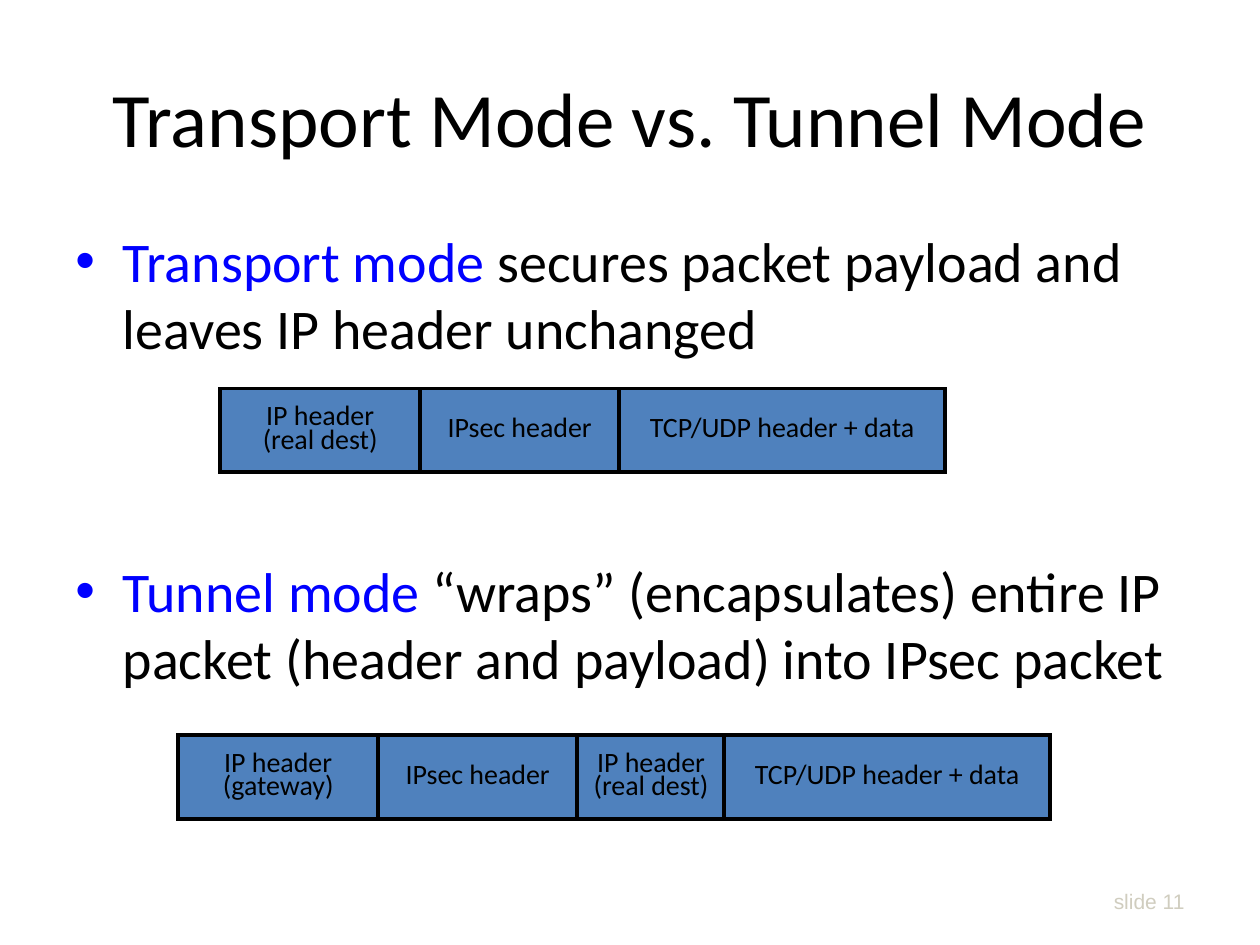
"""Build the slide that compares IPsec transport mode with tunnel mode."""
from dataclasses import dataclass

from lxml import etree
from pptx import Presentation
from pptx.dml.color import RGBColor
from pptx.enum.shapes import MSO_SHAPE
from pptx.enum.text import MSO_ANCHOR, PP_ALIGN
from pptx.oxml.ns import qn
from pptx.util import Inches, Pt

RECT = MSO_SHAPE.RECTANGLE
TOP, MIDDLE = MSO_ANCHOR.TOP, MSO_ANCHOR.MIDDLE
LEFT, CENTER, RIGHT = PP_ALIGN.LEFT, PP_ALIGN.CENTER, PP_ALIGN.RIGHT


@dataclass(frozen=True)
class Theme:
    ink: str = "000000"
    accent: str = "0000FF"
    block: str = "4F81BD"
    faint: str = "D0CDBF"
    font: str = "Calibri"
    footer_font: str = "Arial"
    title: int = 44
    body: int = 32
    label: int = 16
    footer: int = 12
    border: float = 2.25
    indent: int = 27
    tight: float = 0.7


class Deck:
    def __init__(self, theme, cols=120, rows=90):
        self.t = theme
        self.prs = Presentation()
        self.prs.slide_width, self.prs.slide_height = Inches(10), Inches(7.5)
        self.cols, self.rows = cols, rows
        self.s = self.prs.slides.add_slide(self.prs.slide_layouts[6])

    def place(self, col, row, width, height):
        dx = self.prs.slide_width / self.cols
        dy = self.prs.slide_height / self.rows
        return [round(v) for v in (col * dx, row * dy, width * dx, height * dy)]

    def run(self, p, text, size, color, font=None):
        r = p.add_run()
        r.text = text
        r.font.size = Pt(size)
        r.font.name = font or self.t.font
        r.font.color.rgb = RGBColor.from_string(color)

    def frame(self, at, anchor):
        tf = self.s.shapes.add_textbox(*self.place(*at)).text_frame
        tf.word_wrap = True
        tf.vertical_anchor = anchor
        return tf

    def line(self, text, at, size, color, align, font=None):
        p = self.frame(at, MIDDLE).paragraphs[0]
        p.alignment = align
        self.run(p, text, size, color, font)

    def bullets(self, items, at, gap):
        tf = self.frame(at, TOP)
        for i, (term, rest) in enumerate(items):
            p = tf.add_paragraph() if i else tf.paragraphs[0]
            p.alignment = LEFT
            p.space_before = Pt(gap if i else 0)
            self.run(p, term, self.t.body, self.t.accent)
            self.run(p, rest, self.t.body, self.t.ink)
            self.bullet(p)

    def bullet(self, p):
        pPr = p._p.get_or_add_pPr()
        pPr.set("marL", str(Pt(self.t.indent)))
        pPr.set("indent", str(-Pt(self.t.indent)))
        clr = etree.SubElement(pPr, qn("a:buClr"))
        etree.SubElement(clr, qn("a:srgbClr"), val=self.t.accent)
        etree.SubElement(pPr, qn("a:buFont"), typeface="Arial")
        etree.SubElement(pPr, qn("a:buChar"), char="•")

    def block(self, lines, at):
        sp = self.s.shapes.add_shape(RECT, *self.place(*at))
        sp.shadow.inherit = False
        sp.fill.solid()
        sp.fill.fore_color.rgb = RGBColor.from_string(self.t.block)
        sp.line.color.rgb = RGBColor.from_string(self.t.ink)
        sp.line.width = Pt(self.t.border)
        ln = sp._element.spPr.find(qn("a:ln"))
        etree.SubElement(ln, qn("a:miter"), lim="800000")
        tf = sp.text_frame
        tf.word_wrap = False
        tf.vertical_anchor = MIDDLE
        for i, text in enumerate(lines):
            p = tf.add_paragraph() if i else tf.paragraphs[0]
            p.alignment = CENTER
            p.line_spacing = self.t.tight
            self.run(p, text, self.t.label, self.t.ink)

    def packet(self, fields, col, row, height=8):
        for width, *lines in fields:
            self.block(lines, (col, row, width, height))
            col += width


def main():
    theme = Theme()
    deck = Deck(theme)
    deck.bullets(
        [
            ("Transport mode", " secures packet payload and leaves IP header unchanged"),
            ("Tunnel mode", " “wraps” (encapsulates) entire IP packet (header and payload) into IPsec packet"),
        ],
        (6, 21, 111, 58.5),
        gap=111.5,
    )
    deck.line("Transport Mode vs. Tunnel Mode", (6, 3.6, 108, 15), theme.title, theme.ink, CENTER)

    ipsec = (19, "IPsec header")
    payload = (31, "TCP/UDP header + data")
    deck.packet([(19, "IP header", "(real dest)"), ipsec, payload], 21, 37)
    deck.packet([(19, "IP header", "(gateway)"), ipsec, (14, "IP header", "(real dest)"), payload], 17, 70)

    deck.line("slide 11", (90, 82.8, 24, 6), theme.footer, theme.faint, RIGHT, theme.footer_font)
    deck.prs.save("out.pptx")


if __name__ == "__main__":
    main()
